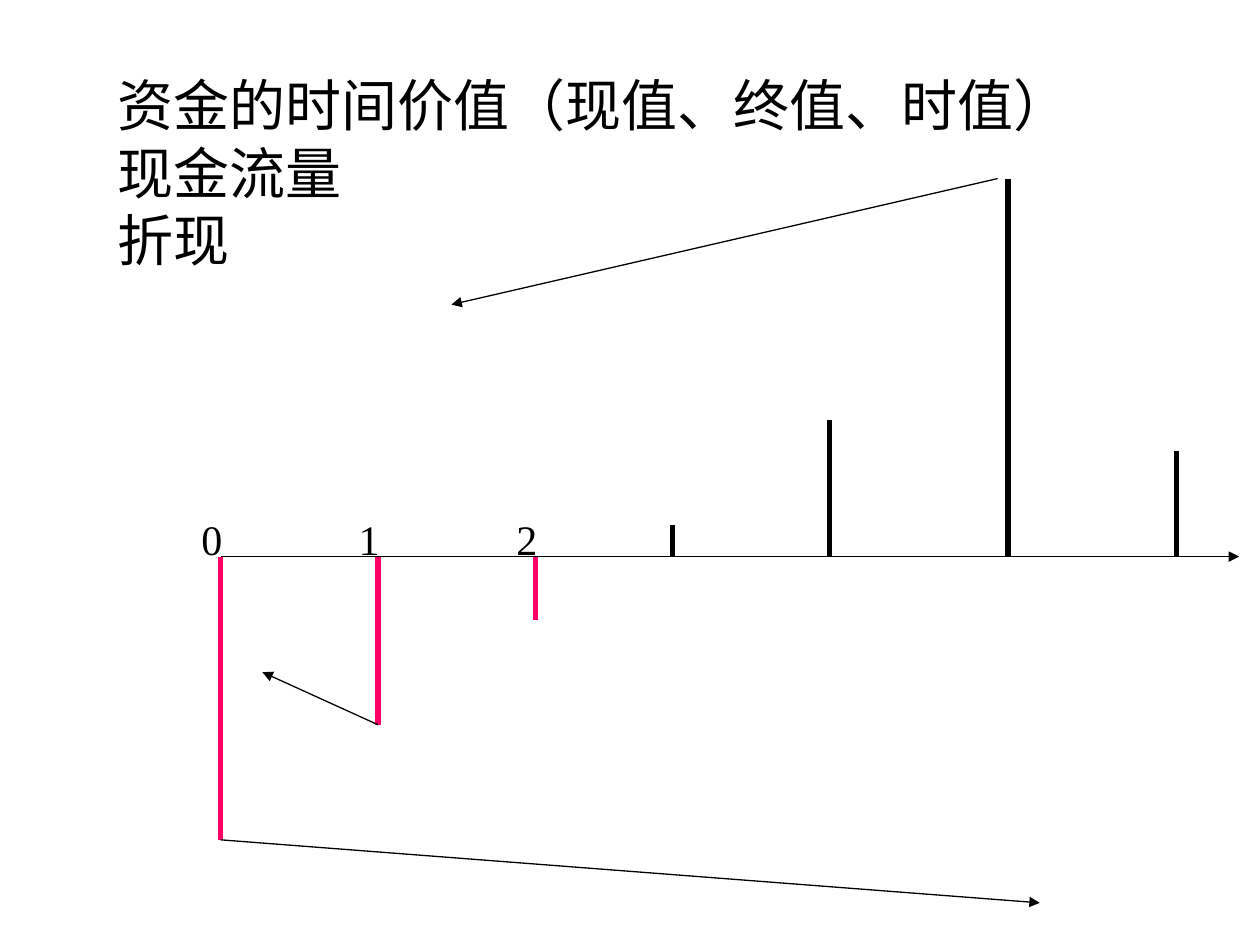
from lxml import etree
from pptx import Presentation
from pptx.dml.color import RGBColor
from pptx.enum.shapes import MSO_CONNECTOR
from pptx.enum.text import MSO_ANCHOR
from pptx.oxml.ns import qn
from pptx.util import Cm, Pt

STRAIGHT = MSO_CONNECTOR.STRAIGHT
TOP = MSO_ANCHOR.TOP
COLORS = {"ink": "000000", "outflow": "FF0066"}
AXIS_Y = 11.22

prs = Presentation()
prs.slide_width, prs.slide_height = Cm(25.4), Cm(19.05)
s = prs.slides.add_slide(prs.slide_layouts[6])


def add_text(text, left, top, width, height, size, inset):
    tf = s.shapes.add_textbox(Cm(left), Cm(top), Cm(width), Cm(height)).text_frame
    frame_format = {"word_wrap": True, "vertical_anchor": TOP, "margin_top": Cm(inset)}
    for name, value in frame_format.items():
        setattr(tf, name, value)
    p = tf.paragraphs[0]
    p.text = text
    for r in p.runs:
        for name, value in {"size": Pt(size), "name": "Times New Roman"}.items():
            setattr(r.font, name, value)
        r.font.color.rgb = RGBColor.from_string(COLORS["ink"])


def add_line(x1, y1, x2, y2, color="ink", width=0.75, arrow=False):
    line = s.shapes.add_connector(STRAIGHT, Cm(x1), Cm(y1), Cm(x2), Cm(y2))
    line.line.width = Pt(width)
    line.line.color.rgb = RGBColor.from_string(COLORS[color])
    if arrow:
        etree.SubElement(line.line._get_or_add_ln(), qn("a:tailEnd"), type="triangle")
    etree.SubElement(line._element.spPr, qn("a:effectLst"))


# Title
add_text("资金的时间价值（现值、终值、时值）\n现金流量\n折现", 2.12, 1.06, 21.59, 6.14, 32, 0.37)

# Time axis
add_line(4.45, AXIS_Y, 24.98, AXIS_Y, arrow=True)

# Cash flows: position, end of bar, colour
flows = [
    (4.45, 16.93, "outflow"),
    (7.62, 14.61, "outflow"),
    (10.8, 12.49, "outflow"),
    (13.55, 10.58, "ink"),
    (16.72, 8.47, "ink"),
    (20.32, 3.6, "ink"),
    (23.71, 9.1, "ink"),
]
for x, end, color in flows:
    add_line(x, AXIS_Y, x, end, color, 3)

# Period numbers, just left of the first bars
for period, (x, end, color) in enumerate(flows[:3]):
    add_text(str(period), x - 0.64, 10.16, 1.5, 1.27, 24, 0.2)

# Discounting and compounding arrows
for x1, y1, x2, y2 in [
    (20.11, 3.6, 9.1, 6.14),
    (7.62, 14.61, 5.29, 13.55),
    (4.45, 16.93, 20.96, 18.2),
]:
    add_line(x1, y1, x2, y2, arrow=True)

prs.save("out.pptx")
